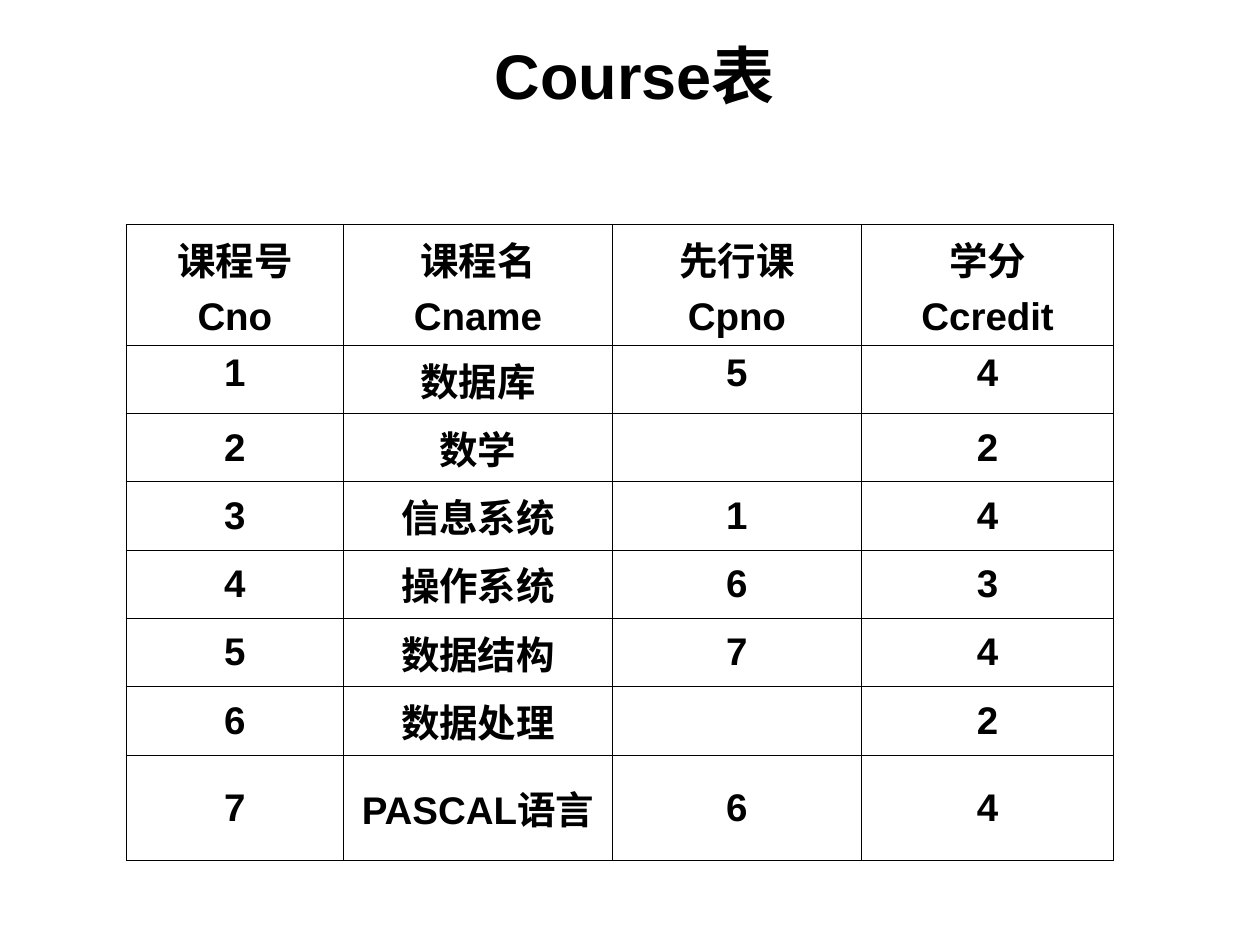
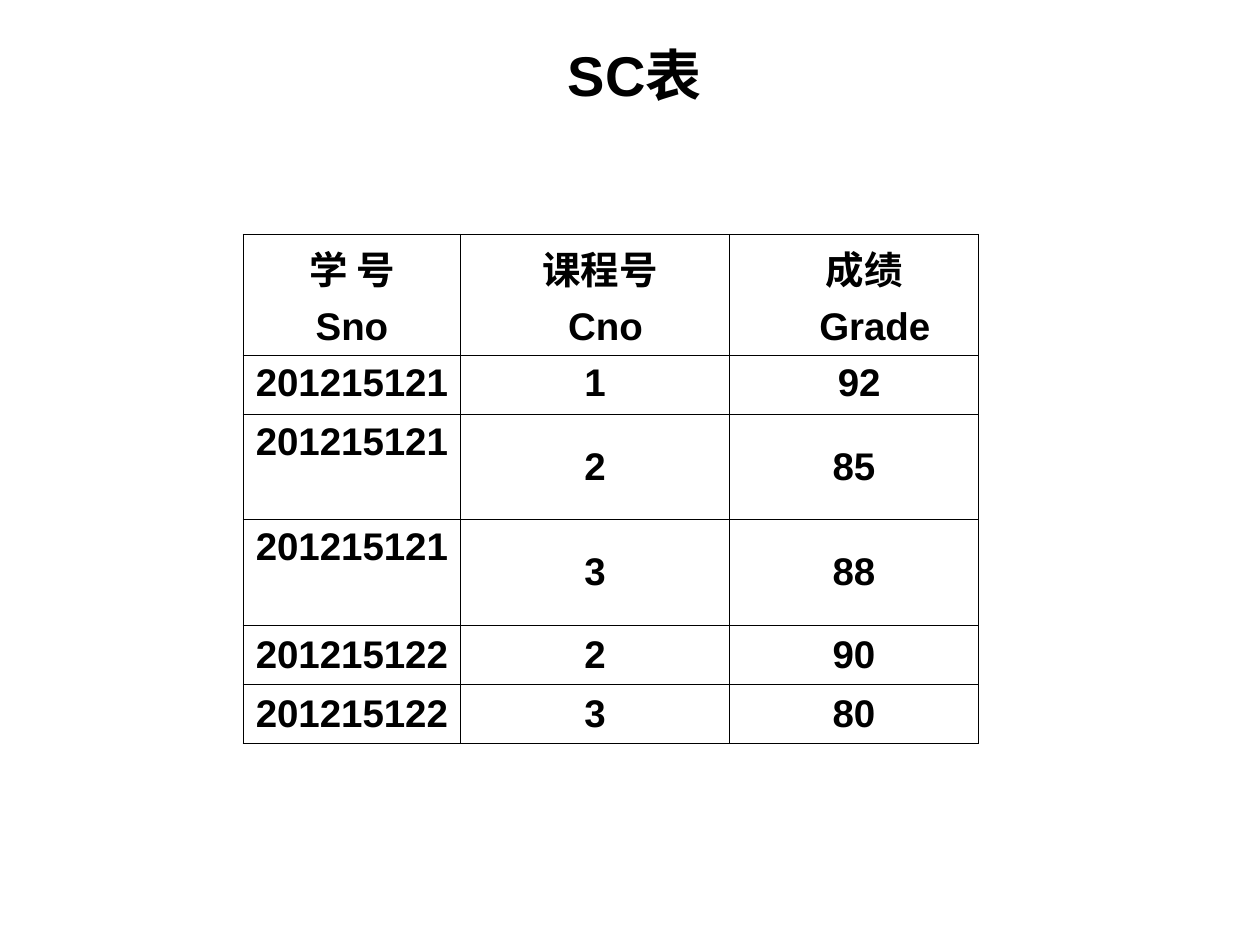
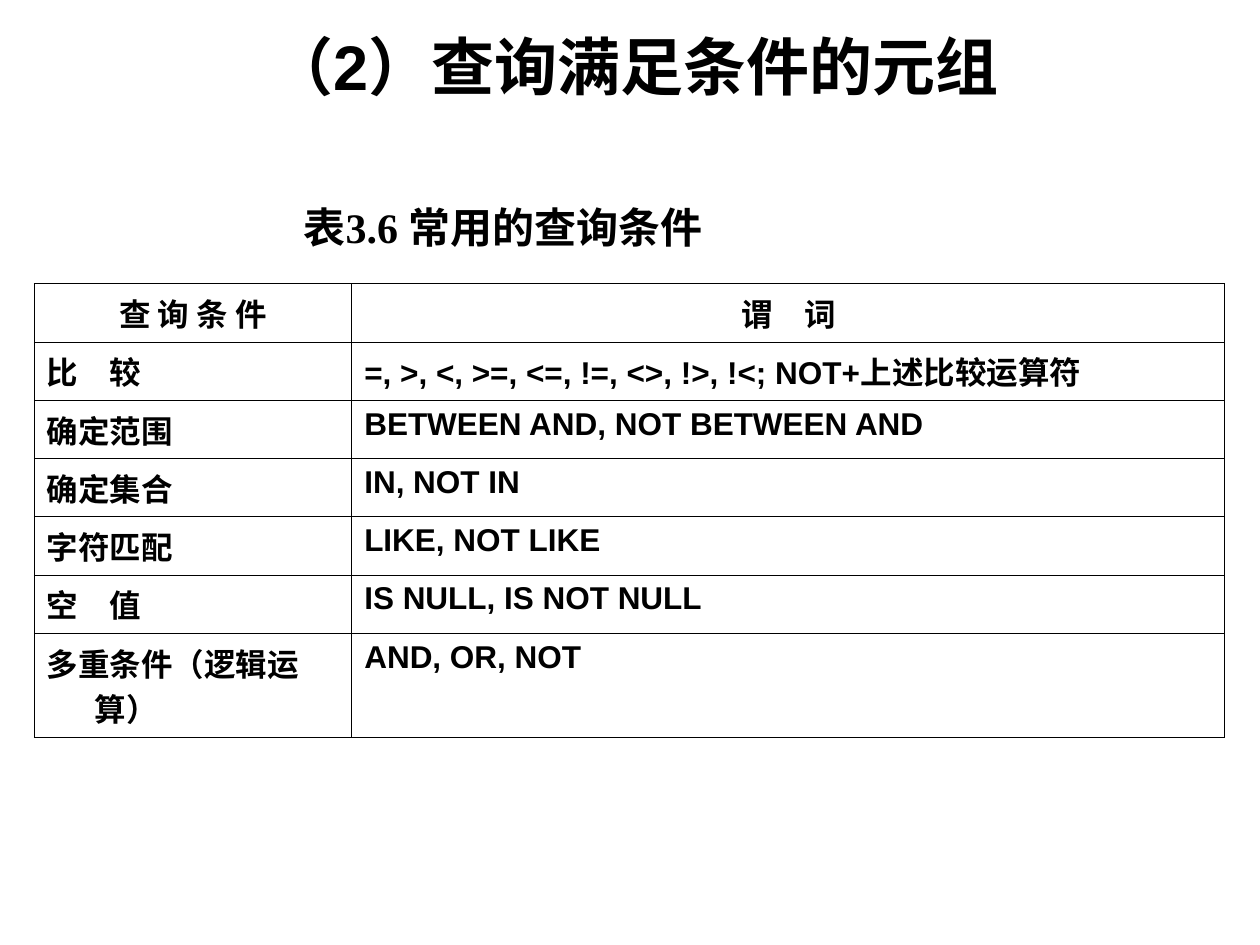
import pptx
import pptx.util
import pptx.dml.color
import pptx.enum.text
import pptx.oxml
import pptx.oxml.ns

Cm = pptx.util.Cm
Pt = pptx.util.Pt
ALIGN = pptx.enum.text.PP_ALIGN
ANCHOR = pptx.enum.text.MSO_ANCHOR
INK = "000000"
SANS = "Arial"
SERIF = "Times New Roman"
HANG = 0.97
SPACE = 0.21
WIDE = [4.39, 5.41, 5.03, 5.08]
HEAD, LOW, TALL = 2.31, 1.19, 2.13

COURSE = [
    ["课程号\nCno", "课程名\nCname", "先行课\nCpno", "学分\nCcredit"],
    ["1", "数据库", "5", "4"],
    ["2", "数学", "", "2"],
    ["3", "信息系统", "1", "4"],
    ["4", "操作系统", "6", "3"],
    ["5", "数据结构", "7", "4"],
    ["6", "数据处理", "", "2"],
    ["7", "PASCAL语言", "6", "4"],
]
GRADES = [
    ["学 号\nSno", "课程号\nCno", "成绩\nGrade"],
    ["201215121", "1", "92"],
    ["201215121", "2", "85"],
    ["201215121", "3", "88"],
    ["201215122", "2", "90"],
    ["201215122", "3", "80"],
]
SHIFTS = {(0, 1): [1, 2], (0, 2): [2, 4], (1, 2): [1]}
TESTS = [
    ["查 询 条 件", "谓　词"],
    ["比　较", "=, >, <, >=, <=, !=, <>, !>, !<; NOT+上述比较运算符"],
    ["确定范围", "BETWEEN AND, NOT BETWEEN AND"],
    ["确定集合", "IN, NOT IN"],
    ["字符匹配", "LIKE, NOT LIKE"],
    ["空　值", "IS NULL, IS NOT NULL"],
    ["多重条件（逻辑运算）", "AND, OR, NOT"],
]


def tint(code):
    return pptx.dml.color.RGBColor.from_string(code)


def style(para, size, name=SANS, align=ALIGN.CENTER):
    para.alignment = align
    for run in para.runs:
        run.font.size = Pt(size)
        run.font.name = name
        run.font.bold = True
        run.font.color.rgb = tint(INK)


def indent(para, left, first=0):
    props = para._p.get_or_add_pPr()
    props.set("marL", str(Cm(left)))
    props.set("indent", str(Cm(first)))


def add_page(deck, text, size, top=0.71):
    slide = deck.slides.add_slide(deck.slide_layouts[5])
    title = slide.shapes.title
    title.left, title.top = Cm(2.54), Cm(top)
    title.width, title.height = Cm(20.52), Cm(1.57)
    title.text_frame.text = text
    title.text_frame.vertical_anchor = ANCHOR.MIDDLE
    style(title.text_frame.paragraphs[0], size)
    return slide


def frame_cell(cell):
    props = cell._tc.get_or_add_tcPr()
    for side in ("lnL", "lnR", "lnT", "lnB"):
        props.append(pptx.oxml.parse_xml(
            f'<a:{side} {pptx.oxml.ns.nsdecls("a")} w="{Pt(0.45)}">'
            f'<a:solidFill><a:srgbClr val="{INK}"/></a:solidFill></a:{side}>'))
    cell.fill.background()


def add_grid(slide, data, left, top, widths, heights):
    frame = slide.shapes.add_table(
        len(data), len(widths), Cm(left), Cm(top), Cm(sum(widths)), Cm(sum(heights)))
    grid = frame.table
    grid.first_row = grid.horz_banding = False
    for col, width in zip(grid.columns, widths):
        col.width = Cm(width)
    for row, height, texts in zip(grid.rows, heights, data):
        row.height = Cm(height)
        for cell, text in zip(row.cells, texts):
            cell.text_frame.text = text
            frame_cell(cell)
    return grid


def style_data(grid, tops=(), shifts={}):
    for r, row in enumerate(grid.rows):
        for c, cell in enumerate(row.cells):
            high = r < 2 or (r, c) in tops
            cell.vertical_anchor = ANCHOR.TOP if high else ANCHOR.MIDDLE
            for n, para in enumerate(cell.text_frame.paragraphs):
                style(para, 22)
                if n:
                    para.space_before = Pt(5.5)
                if (r, c) in shifts:
                    indent(para, shifts[r, c][n] * SPACE)


def style_tests(grid):
    for r, row in enumerate(grid.rows):
        for cell in row.cells:
            para = cell.text_frame.paragraphs[0]
            style(para, 18, align=ALIGN.LEFT if r else ALIGN.CENTER)
            indent(para, HANG, -HANG)


def add_label(slide, text, left, top, width, height):
    box = slide.shapes.add_textbox(Cm(left), Cm(top), Cm(width), Cm(height))
    box.text_frame.word_wrap = True
    box.text_frame.text = text
    style(box.text_frame.paragraphs[0], 24, SERIF, ALIGN.LEFT)


def main():
    deck = pptx.Presentation()
    deck.slide_width, deck.slide_height = Cm(25.4), Cm(19.05)

    slide = add_page(deck, "Course表", 36)
    grid = add_grid(slide, COURSE, 2.54, 4.52, WIDE, [HEAD] + [LOW] * 6 + [TALL])
    style_data(grid)

    slide = add_page(deck, "SC表", 32)
    grid = add_grid(slide, GRADES, 4.9, 4.72, WIDE[:3],
                    [HEAD, LOW, TALL, TALL, LOW, LOW])
    style_data(grid, {(2, 0), (3, 0)}, SHIFTS)

    slide = add_page(deck, "（2）查询满足条件的元组", 36, 0.53)
    grid = add_grid(slide, TESTS, 0.69, 5.72, [6.4, 17.6], [1.02] * 6 + [1.78])
    style_tests(grid)
    add_label(slide, "表3.6 常用的查询条件", 5.87, 3.94, 10.85, 1.27)

    deck.save("out.pptx")


if __name__ == "__main__":
    main()
